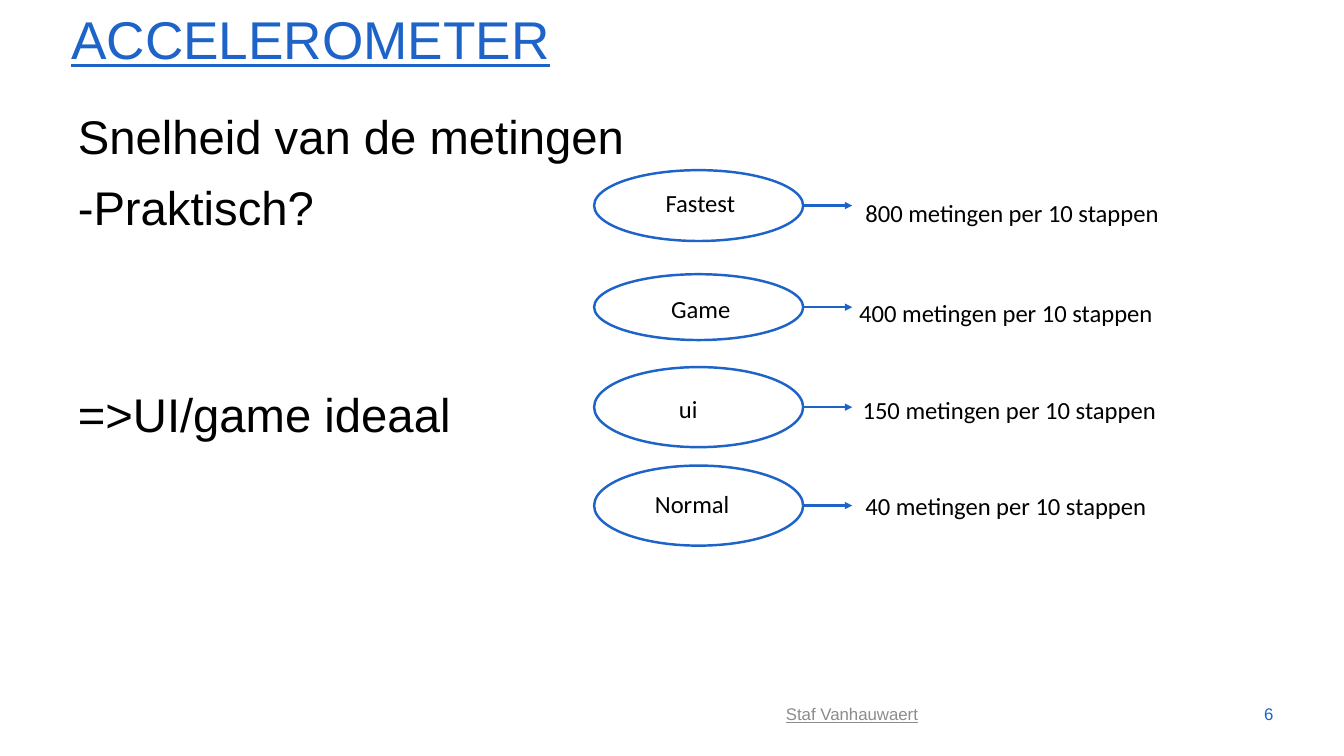
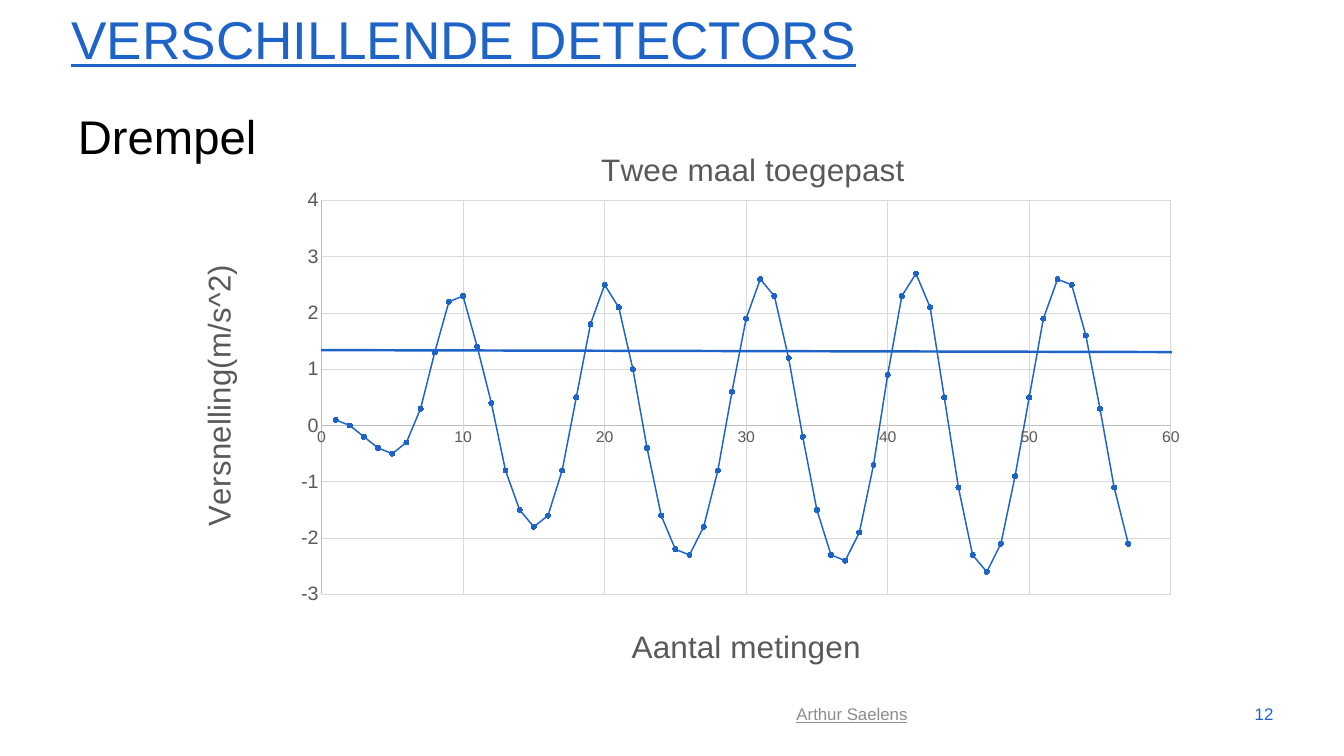
import lxml.etree
import pptx
import pptx.chart.data
import pptx.dml.color
import pptx.enum.chart
import pptx.enum.shapes
import pptx.enum.text
import pptx.oxml.ns
import pptx.util

Cm = pptx.util.Cm
Pt = pptx.util.Pt
qn = pptx.oxml.ns.qn
ALIGN = pptx.enum.text.PP_ALIGN
ANCHOR = pptx.enum.text.MSO_ANCHOR

HUES = {
    "blue": "1E64C8",
    "black": "000000",
    "gray": "8C8C8C",
    "text": "595959",
    "axis": "BFBFBF",
    "grid": "D9D9D9",
}

RATES = [
    ("Fastest", 0, 2.54, (2.31, 0.3, 3.1), "800 metingen per 10 stappen", (9.47, 0.66)),
    ("Game", 3.73, 2.36, (2.51, 0.38, 2.8), "400 metingen per 10 stappen", (9.25, 0.51)),
    ("ui", 7.06, 2.87, (2.79, 0.64, 1.5), "150 metingen per 10 stappen", (9.37, 0.66)),
    ("Normal", 10.59, 2.87, (1.93, 0.51, 3.45), "40 metingen per 10 stappen", (9.47, 0.58)),
]

SPEEDS = [
    0.1, 0, -0.2, -0.4, -0.5, -0.3, 0.3, 1.3, 2.2, 2.3, 1.4, 0.4,
    -0.8, -1.5, -1.8, -1.6, -0.8, 0.5, 1.8, 2.5, 2.1, 1, -0.4, -1.6,
    -2.2, -2.3, -1.8, -0.8, 0.6, 1.9, 2.6, 2.3, 1.2, -0.2, -1.5, -2.3,
    -2.4, -1.9, -0.7, 0.9, 2.3, 2.7, 2.1, 0.5, -1.1, -2.3, -2.6, -2.1,
    -0.9, 0.5, 1.9, 2.6, 2.5, 1.6, 0.3, -1.1, -2.1,
]


def hue(name):
    return pptx.dml.color.RGBColor.from_string(HUES[name])


def style(font, size, tone, face="Arial", under=None):
    font.size = Pt(size)
    font.name = face
    font.color.rgb = hue(tone)
    font.bold = False
    if under:
        font.underline = True


def stroke(line, tone, width):
    line.color.rgb = hue(tone)
    line.width = Pt(width)


def put(slide, box, text, size, tone, face="Arial", under=None,
        align=ALIGN.LEFT, anchor=ANCHOR.TOP, pitch=1.0):
    frame = slide.shapes.add_textbox(*map(Cm, box)).text_frame
    frame.word_wrap = True
    frame.vertical_anchor = anchor
    frame.text = text
    for par in frame.paragraphs:
        par.alignment = align
        par.line_spacing = pitch
        for run in par.runs:
            style(run.font, size, tone, face, under)
    return frame


def draw(slide, start, end, arrow=False):
    link = slide.shapes.add_connector(
        pptx.enum.shapes.MSO_CONNECTOR.STRAIGHT, *map(Cm, start + end))
    stroke(link.line, "blue", 2.5)
    if arrow:
        tail = lxml.etree.SubElement(link.line._get_or_add_ln(), qn("a:tailEnd"))
        tail.set("type", "triangle")
    lxml.etree.SubElement(link._element.spPr, qn("a:effectLst"))


def frame_slide(deck, title, lines, gaps, name, page):
    slide = deck.slides.add_slide(deck.slide_layouts[6])
    put(slide, (2.31, 0.38, 43.64, 2.39), title, 54, "blue", under=True, pitch=0.9)
    body = put(slide, (2.31, 3.33, 43.61, 18.59), "\n".join(lines), 48, "black", pitch=1.2)
    for par, gap in zip(body.paragraphs, gaps):
        par.space_before = Pt(gap)
        par._p.get_or_add_pPr().set("marL", str(Cm(0.23)))
    put(slide, (18.92, 24.99, 23.22, 1.22), name, 17.1, "gray", under=True,
        align=ALIGN.CENTER, anchor=ANCHOR.MIDDLE)
    put(slide, (43.31, 24.87, 2.57, 1.45), page, 17.1, "blue",
        align=ALIGN.RIGHT, anchor=ANCHOR.MIDDLE)
    return slide


def rate_list(slide, left, top, width):
    for label, drop, high, (dx, dy, wide), note, (nx, ny) in RATES:
        row = top + drop
        oval = slide.shapes.add_shape(
            pptx.enum.shapes.MSO_SHAPE.OVAL, Cm(left), Cm(row), Cm(width), Cm(high))
        oval.shadow.inherit = False
        oval.fill.background()
        stroke(oval.line, "blue", 2.5)
        mid = row + high / 2
        draw(slide, (left + width, mid), (left + 9.25, mid), arrow=True)
        put(slide, (left + dx, row + dy, wide, 1.45), label, 25, "black", "Calibri", pitch=1.2)
        put(slide, (left + nx, row + ny, 12, 1.45), note, 25, "black", "Calibri", pitch=1.2)


def set_place(owner, index, **parts):
    for old in owner.findall(qn("c:layout")):
        owner.remove(old)
    layout = lxml.etree.Element(qn("c:layout"))
    owner.insert(index, layout)
    manual = lxml.etree.SubElement(layout, qn("c:manualLayout"))
    for key, value in parts.items():
        lxml.etree.SubElement(manual, qn("c:" + key)).set("val", str(value))


def set_title(title, text, x, y, turn=0):
    frame = title.text_frame
    frame.text = text
    style(frame.paragraphs[0].runs[0].font, 32, "text")
    if turn:
        frame._txBody.bodyPr.set("rot", str(turn * 60000))
        frame._txBody.bodyPr.set("vert", "horz")
    set_place(title._element, 1, xMode="edge", yMode="edge", x=x, y=y)


def set_axis(axis, low, high, step, size):
    axis.minimum_scale = low
    axis.maximum_scale = high
    axis.major_unit = step
    axis.major_tick_mark = axis.minor_tick_mark = pptx.enum.chart.XL_TICK_MARK.NONE
    axis.tick_label_position = pptx.enum.chart.XL_TICK_LABEL_POSITION.NEXT_TO_AXIS
    axis.has_major_gridlines = True
    stroke(axis.major_gridlines.format.line, "grid", 0.75)
    stroke(axis.format.line, "axis", 0.75)
    style(axis.tick_labels.font, size, "text")


def wave_chart(slide, left, top, width, height):
    data = pptx.chart.data.XyChartData()
    points = data.add_series("Series 1")
    for count, speed in enumerate(SPEEDS, 1):
        points.add_data_point(count, speed)
    chart = slide.shapes.add_chart(
        pptx.enum.chart.XL_CHART_TYPE.XY_SCATTER_SMOOTH,
        Cm(left), Cm(top), Cm(width), Cm(height), data).chart
    style(chart.font, 10, "black")
    chart.has_legend = False
    chart.has_title = True
    set_title(chart.chart_title, "Twee maal toegepast", 0.416, 0.036)
    set_axis(chart.category_axis, 0, 60, 10, 16)
    set_axis(chart.value_axis, -3, 4, 1, 20)
    set_title(chart.category_axis.axis_title, "Aantal metingen", 0.445, 0.916)
    set_title(chart.value_axis.axis_title, "Versnelling(m/s^2)", 0.032, 0.255, -90)
    set_place(chart._chartSpace.find(".//" + qn("c:plotArea")), 0,
              layoutTarget="inner", xMode="edge", yMode="edge",
              x=0.155, y=0.14, w=0.809, h=0.728)
    plot = chart.plots[0]
    plot.vary_by_categories = False
    wave = plot.series[0]
    wave.smooth = True
    stroke(wave.format.line, "blue", 1.5)
    wave.marker.style = pptx.enum.chart.XL_MARKER_STYLE.CIRCLE
    wave.marker.size = 5
    wave.marker.format.fill.solid()
    wave.marker.format.fill.fore_color.rgb = hue("blue")
    stroke(wave.marker.format.line, "blue", 0.75)
    draw(slide, (left + 5.82, top + 8.08), (left + 36.3, top + 8.15))


def main():
    deck = pptx.Presentation()
    deck.slide_width = Cm(48.16)
    deck.slide_height = Cm(27.1)
    slide = frame_slide(
        deck, "ACCELEROMETER",
        ["Snelheid van de metingen", "-Praktisch?", "=>UI/game ideaal"],
        [3, 3, 141], "Staf Vanhauwaert", "6")
    rate_list(slide, 21.29, 6.1, 7.49)
    slide = frame_slide(
        deck, "VERSCHILLENDE DETECTORS", ["Drempel"], [3], "Arthur Saelens", "12")
    wave_chart(slide, 5.69, 4.47, 37.62, 19.69)
    deck.save("out.pptx")


if __name__ == "__main__":
    main()
